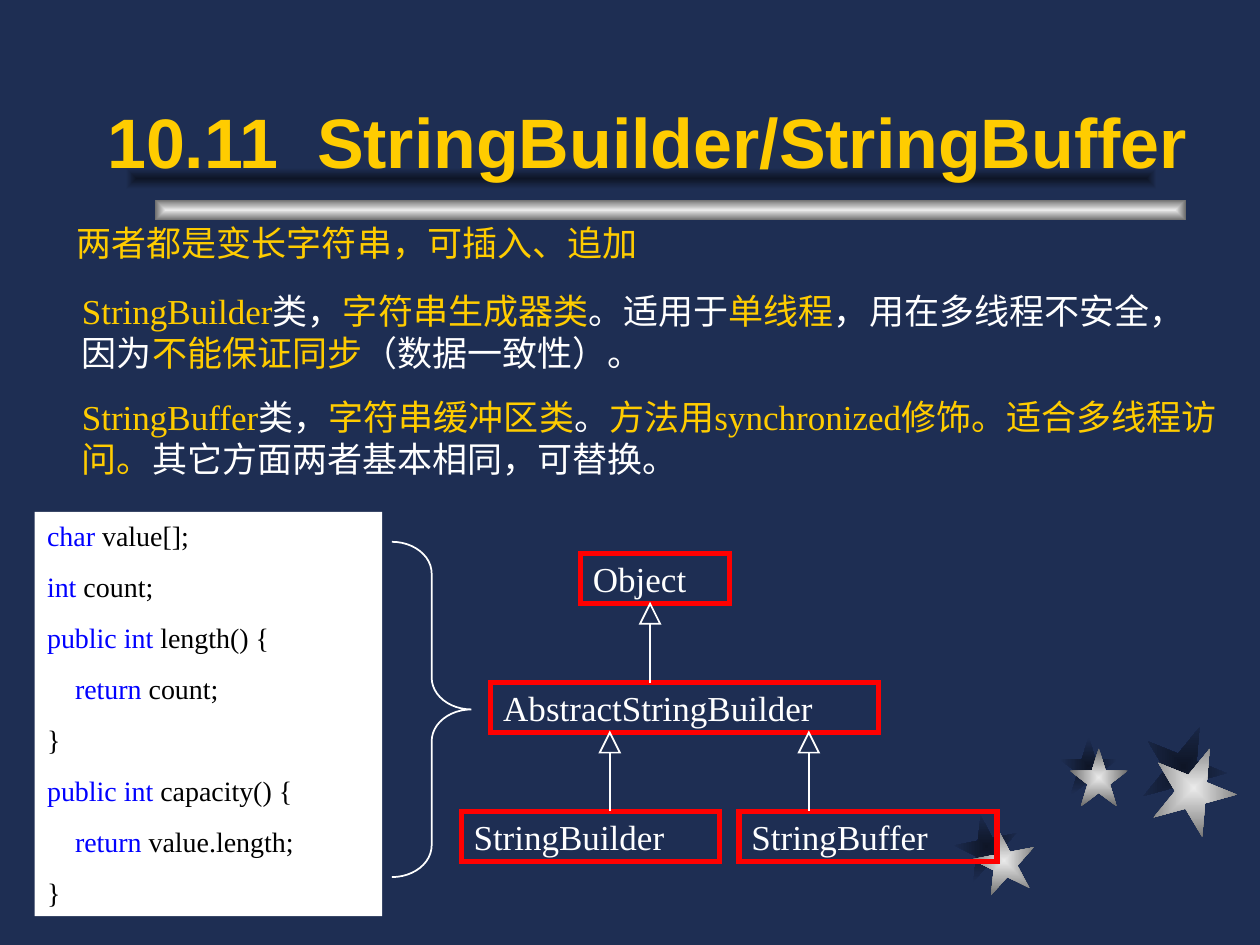
from dataclasses import dataclass

from pptx import Presentation
from pptx.dml.color import RGBColor
from pptx.enum.shapes import MSO_CONNECTOR, MSO_SHAPE
from pptx.enum.text import MSO_ANCHOR, MSO_AUTO_SIZE, PP_ALIGN
from pptx.oxml import parse_xml
from pptx.oxml.ns import nsdecls, qn
from pptx.oxml.xmlchemy import OxmlElement
from pptx.util import Pt

RECTANGLE = MSO_SHAPE.RECTANGLE
STAR = MSO_SHAPE.STAR_5_POINT
TRIANGLE = MSO_SHAPE.ISOSCELES_TRIANGLE
BRACE = MSO_SHAPE.RIGHT_BRACE
STRAIGHT = MSO_CONNECTOR.STRAIGHT
TOP, MIDDLE, BOTTOM = MSO_ANCHOR.TOP, MSO_ANCHOR.MIDDLE, MSO_ANCHOR.BOTTOM
LEFT = PP_ALIGN.LEFT
FIXED = MSO_AUTO_SIZE.NONE


@dataclass(frozen=True)
class Theme:
    background: str = "1E2E53"
    gold: str = "FFCC00"
    white: str = "FFFFFF"
    black: str = "000000"
    keyword: str = "0000FF"
    border: str = "FF0000"
    metal: tuple = ("EAEAEA", "6C6C6C")
    shade: tuple = ("0E1526", "1E2E53")
    heading_font: str = "Arial"
    text_font: str = "Times New Roman"
    title_size: int = 40
    text_size: int = 20
    code_size: int = 16


THEME = Theme()
GOLD, WHITE = THEME.gold, THEME.white
BLACK, KEYWORD = THEME.black, THEME.keyword

BODY = [
    [("StringBuilder", GOLD), ("类，", WHITE), ("字符串生成器类", GOLD),
     ("。适用于", WHITE), ("单线程", GOLD),
     ("，用在多线程不安全，因为", WHITE), ("不能保证同步", GOLD),
     ("（数据一致性）。", WHITE)],
    [("StringBuffer", GOLD), ("类，", WHITE), ("字符串缓冲区类", GOLD),
     ("。", WHITE), ("方法用synchronized修饰。适合多线程访问。", GOLD),
     ("其它方面两者基本相同，可替换。", WHITE)],
]
CODE = [
    [("char", KEYWORD), (" value[];", BLACK)],
    [("int", KEYWORD), (" count;", BLACK)],
    [("public int", KEYWORD), (" length() {", BLACK)],
    [("    ", BLACK), ("return", KEYWORD), (" count;", BLACK)],
    [("}", BLACK)],
    [("public int", KEYWORD), (" capacity() {", BLACK)],
    [("    ", BLACK), ("return", KEYWORD), (" value.length;", BLACK)],
    [("}", BLACK)],
]

# Class diagram: rows at an equal pitch
ROW_TOP, ROW_PITCH, BOX_HEIGHT = 316.5, 73.6, 28.5
ARROW_SIZE = 11.5
CLASSES = [
    ("Object", 331.7, 85, 0),
    ("AbstractStringBuilder", 280.5, 221.5, 1),
    ("StringBuilder", 263.5, 147.5, 2),
    ("StringBuffer", 422.3, 147.5, 2),
]
INHERITANCE = [(371.5, 0), (348.5, 1), (462.2, 1)]  # centre x, parent row

# Stars: left, top, size, rotation
SHADE_STARS = [(545.8, 465.8, 36, -11), (605.5, 421.2, 33.2, 0),
               (652.3, 414, 48.2, 22)]
METAL_STARS = [(555.8, 473.8, 36, -11), (611.3, 427.7, 33.2, 0),
               (658.1, 426.2, 48.2, 22)]


def rgb(value):
    return RGBColor.from_string(value)


def fill_text(frame, paragraphs, size, font=THEME.text_font, space=0,
              anchor=TOP, bold=False):
    """Write paragraphs given as lists of (text, colour) runs."""
    frame.word_wrap = True
    frame.auto_size = FIXED
    frame.vertical_anchor = anchor
    for index, runs in enumerate(paragraphs):
        paragraph = frame.add_paragraph() if index else frame.paragraphs[0]
        paragraph.alignment = LEFT
        paragraph.space_before = Pt(space if index else 0)
        for text, colour in runs:
            run = paragraph.add_run()
            run.text = text
            run.font.name = font
            run.font.size = Pt(size)
            run.font.bold = bold
            run.font.color.rgb = rgb(colour)


def place(shape, left, top, width, height):
    shape.left, shape.top = Pt(left), Pt(top)
    shape.width, shape.height = Pt(width), Pt(height)


def bring_to_front(shape):
    shape._element.getparent().append(shape._element)


def remove_bullets(frame):
    for paragraph in frame.paragraphs:
        properties = paragraph._p.get_or_add_pPr()
        properties.set("marL", "0")
        properties.set("indent", "0")
        properties.append(OxmlElement("a:buNone"))


def add_outline(slide, kind, box, colour=None, weight=1):
    """Add an unfilled preset shape, with a sharp line if a colour is given."""
    shape = slide.shapes.add_shape(kind, *map(Pt, box))
    shape.shadow.inherit = False
    shape.fill.background()
    if colour:
        shape.line.color.rgb = rgb(colour)
        shape.line.width = Pt(weight)
        miter = OxmlElement("a:miter")
        miter.set("lim", "800000")
        shape._element.spPr.find(qn("a:ln")).append(miter)
    else:
        shape.line.fill.background()
    return shape


def add_glow(slide, kind, box, colours, rotation=0):
    """Add a shape shaded from its centre to its edges."""
    shape = add_outline(slide, kind, box)
    shape.rotation = rotation
    stops = "".join(
        f'<a:gs pos="{position}"><a:srgbClr val="{colour}"/></a:gs>'
        for position, colour in zip((0, 100000), colours))
    gradient = parse_xml(
        f'<a:gradFill {nsdecls("a")} rotWithShape="1"><a:gsLst>{stops}</a:gsLst>'
        '<a:path path="rect"><a:fillToRect l="50000" t="50000" r="50000" '
        'b="50000"/></a:path></a:gradFill>')
    properties = shape._element.spPr
    properties.replace(properties.find(qn("a:noFill")), gradient)


def add_decoration(slide):
    for stars, colours in ((SHADE_STARS, THEME.shade),
                           (METAL_STARS, THEME.metal)):
        for left, top, size, rotation in stars:
            add_glow(slide, STAR, (left, top, size, size), colours, rotation)
    add_glow(slide, RECTANGLE, (88.6, 114, 589, 12), THEME.metal)
    add_glow(slide, RECTANGLE, (72, 96, 589, 12), THEME.shade)


def add_text_box(slide, box, paragraphs, size, space=0):
    shape = slide.shapes.add_textbox(*map(Pt, box))
    fill_text(shape.text_frame, paragraphs, size, space=space)
    return shape


def add_class_box(slide, name, left, width, row):
    box = (left, ROW_TOP + row * ROW_PITCH, width, BOX_HEIGHT)
    shape = add_outline(slide, RECTANGLE, box, THEME.border, 3)
    fill_text(shape.text_frame, [[(name, WHITE)]], THEME.text_size,
              anchor=MIDDLE)


def add_inheritance(slide, x, parent_row):
    """Draw a hollow arrow from a child row up to its parent row."""
    tip = ROW_TOP + parent_row * ROW_PITCH + BOX_HEIGHT
    base = tip + ARROW_SIZE
    child_top = ROW_TOP + (parent_row + 1) * ROW_PITCH
    add_outline(slide, TRIANGLE,
                (x - ARROW_SIZE / 2, tip, ARROW_SIZE, ARROW_SIZE), WHITE)
    line = slide.shapes.add_connector(STRAIGHT, Pt(x), Pt(base),
                                      Pt(x), Pt(child_top))
    line.line.color.rgb = rgb(WHITE)
    line.line.width = Pt(1)
    line._element.spPr.append(OxmlElement("a:effectLst"))


def main():
    presentation = Presentation()
    presentation.slide_width, presentation.slide_height = Pt(720), Pt(540)
    slide = presentation.slides.add_slide(presentation.slide_layouts[1])
    slide.background.fill.solid()
    slide.background.fill.fore_color.rgb = rgb(THEME.background)
    add_decoration(slide)

    title, body = slide.shapes.title, slide.placeholders[1]
    place(title, 54, 18, 640.8, 90)
    fill_text(title.text_frame, [[("10.11  StringBuilder/StringBuffer", GOLD)]],
              THEME.title_size, THEME.heading_font, anchor=BOTTOM, bold=True)
    place(body, 39.6, 162, 663.1, 116)
    fill_text(body.text_frame, BODY, THEME.text_size, space=12.5)
    remove_bullets(body.text_frame)
    for placeholder in (title, body):
        bring_to_front(placeholder)

    add_text_box(slide, (36.7, 122.8, 566.6, 31.7),
                 [[("两者都是变长字符串，可插入、追加", GOLD)]], THEME.text_size)
    code = add_text_box(slide, (19.8, 292.5, 198.5, 231), CODE,
                        THEME.code_size, space=10)
    code.fill.solid()
    code.fill.fore_color.rgb = rgb(WHITE)

    for class_box in CLASSES:
        add_class_box(slide, *class_box)
    for x, parent_row in INHERITANCE:
        add_inheritance(slide, x, parent_row)
    brace = add_outline(slide, BRACE, (224, 309.6, 45.4, 191.6), WHITE)
    brace.adjustments[0] = 0.4
    presentation.save("out.pptx")


if __name__ == "__main__":
    main()
